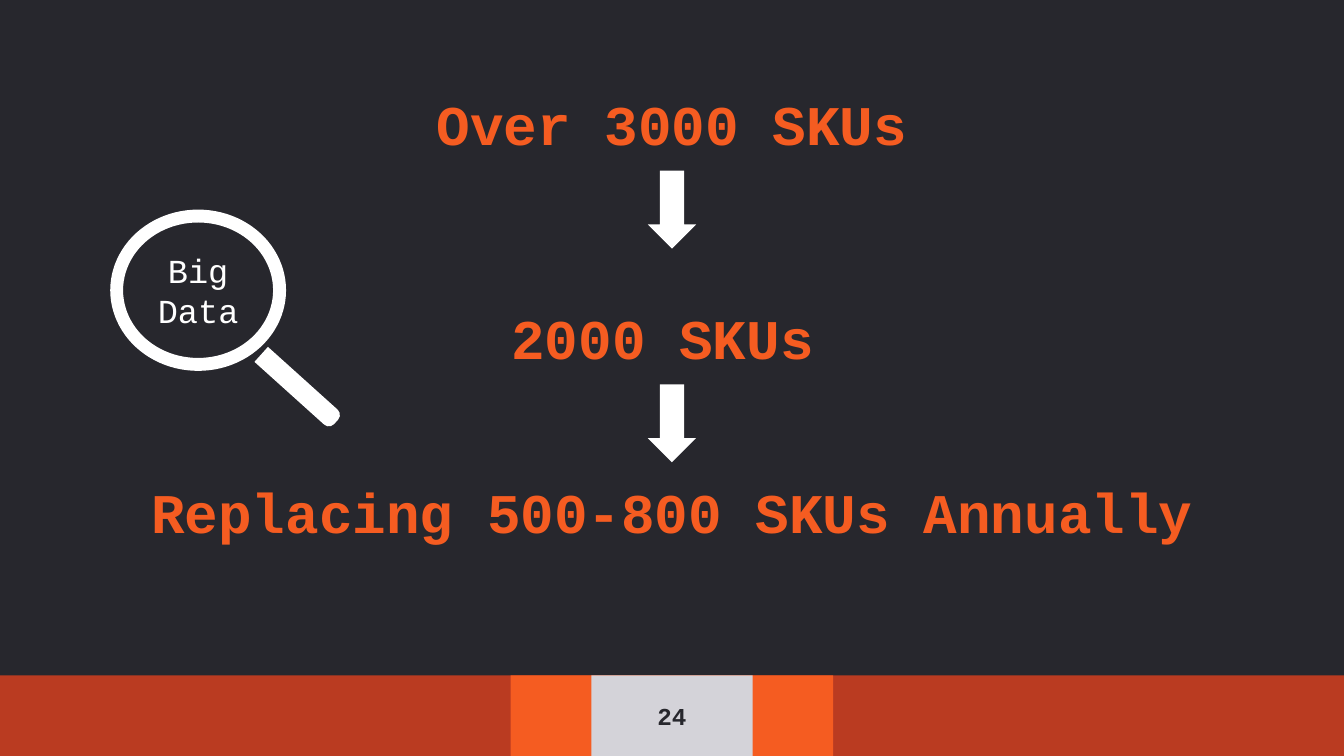
from pptx import Presentation
from pptx import util as u
from pptx.dml.color import RGBColor
from pptx.enum import shapes as s, text as t

WIDTH = 10
HEIGHT = WIDTH * 9 / 16
FONT = "Courier New"
DARK = RGBColor(0x27, 0x27, 0x2D)
RUST = RGBColor(0xBA, 0x3B, 0x21)
ORANGE = RGBColor(0xF5, 0x5C, 0x21)
GREY = RGBColor(0xD4, 0xD3, 0xD9)
WHITE = RGBColor(0xFF, 0xFF, 0xFF)


def add_filled(slide, preset, box, color):
    shape = slide.shapes.add_shape(preset, *map(u.Inches, box))
    shape.shadow.inherit = False
    shape.fill.solid()
    shape.fill.fore_color.rgb = color
    shape.line.fill.background()
    return shape


def write(shape, wording, size, color, bold, anchor=t.MSO_ANCHOR.MIDDLE):
    frame = shape.text_frame
    frame.text = wording
    frame.word_wrap = True
    frame.auto_size = t.MSO_AUTO_SIZE.NONE
    frame.vertical_anchor = anchor
    frame.margin_left = frame.margin_right = u.Inches(0.1)
    frame.margin_top = frame.margin_bottom = u.Inches(0.1)
    paragraph = frame.paragraphs[0]
    paragraph.alignment = t.PP_ALIGN.CENTER
    paragraph.space_before = u.Pt(0)
    font = paragraph.runs[0].font
    font.name, font.size, font.bold = FONT, u.Pt(size), bold
    font.color.rgb = color


def footer(slide, left, top, width, height, number):
    """Centre nested bands, each a share of the full width."""
    for share, color in ((1, RUST), (0.24, ORANGE), (0.12, GREY)):
        band_left = left + width * (1 - share) / 2
        band = add_filled(slide, s.MSO_SHAPE.RECTANGLE,
                          (band_left, top, width * share, height), color)
    write(band, number, 13, DARK, True)


def sku_steps(slide, left, top, width, step_height):
    """Fill the text placeholders with the stages and link them by arrows."""
    bottom, middle = t.MSO_ANCHOR.BOTTOM, t.MSO_ANCHOR.MIDDLE
    stages = (
        (0, "Over 3000 SKUs", 0, 0, bottom),
        (1, "2000 SKUs", -0.07, 1.73, middle),
        (3, "Replacing 500-800 SKUs Annually", 0, 2.88, bottom),
    )
    holders = {h.placeholder_format.idx: h for h in slide.placeholders}
    for idx, wording, shift, drop, anchor in stages:
        holder = holders.pop(idx)
        holder.left, holder.top = u.Inches(left + shift), u.Inches(top + drop)
        holder.width, holder.height = u.Inches(width), u.Inches(step_height)
        write(holder, wording, 30, ORANGE, True, anchor)
    for unused in holders.values():
        unused.element.getparent().remove(unused.element)

    arrow_width, arrow_height = 0.36, 0.58
    for drop in (step_height, step_height + 1.59):
        add_filled(slide, s.MSO_SHAPE.DOWN_ARROW,
                   (left + (width - arrow_width) / 2, top + drop,
                    arrow_width, arrow_height), WHITE)


def magnifier(slide, left, top, width, height, label):
    """Draw a ring holding the label, with a slanted handle at lower right."""
    lens_width, lens_height = width * 0.765, height * 0.75
    lens = add_filled(slide, s.MSO_SHAPE.DONUT,
                      (left, top, lens_width, lens_height), WHITE)
    lens.adjustments[0] = 0.08
    write(lens, label, 18, WHITE, False)

    thickness, length = 0.15, 0.75
    center_x, center_y = left + width * 0.82, top + height * 0.83
    handle = add_filled(slide, s.MSO_SHAPE.ROUND_2_SAME_RECTANGLE,
                        (center_x - thickness / 2, center_y - length / 2,
                         thickness, length), WHITE)
    handle.adjustments[0] = 0.35
    handle.rotation = 132


def main():
    deck = Presentation()
    deck.slide_width, deck.slide_height = u.Inches(WIDTH), u.Inches(HEIGHT)
    slide = deck.slides.add_slide(deck.slide_layouts.get_by_name("Comparison"))
    slide.background.fill.solid()
    slide.background.fill.fore_color.rgb = DARK

    footer_height = 0.6
    footer(slide, 0, HEIGHT - footer_height, WIDTH, footer_height, "24")
    sku_steps(slide, 0.75, 0.29, WIDTH * 0.85, 0.98)
    magnifier(slide, 0.82, 1.56, 1.71, 1.6, "Big Data")
    deck.save("out.pptx")


if __name__ == "__main__":
    main()
